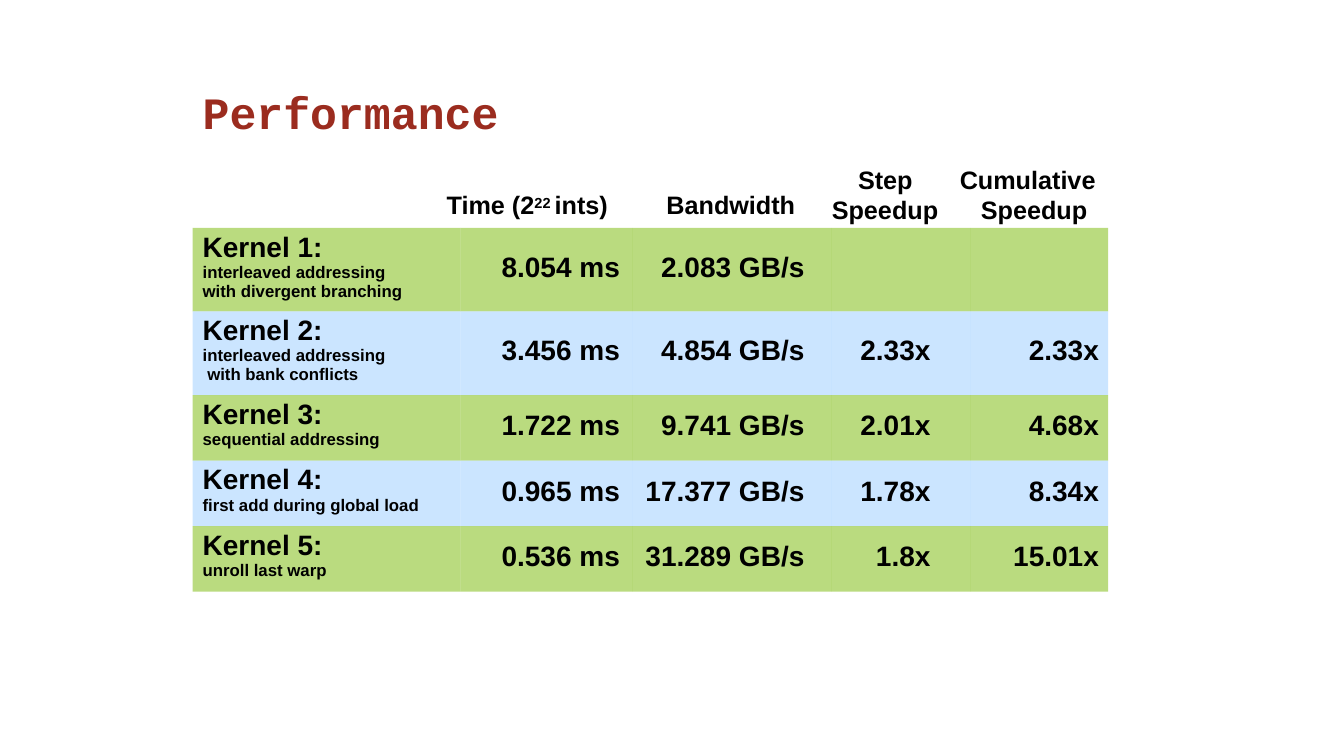
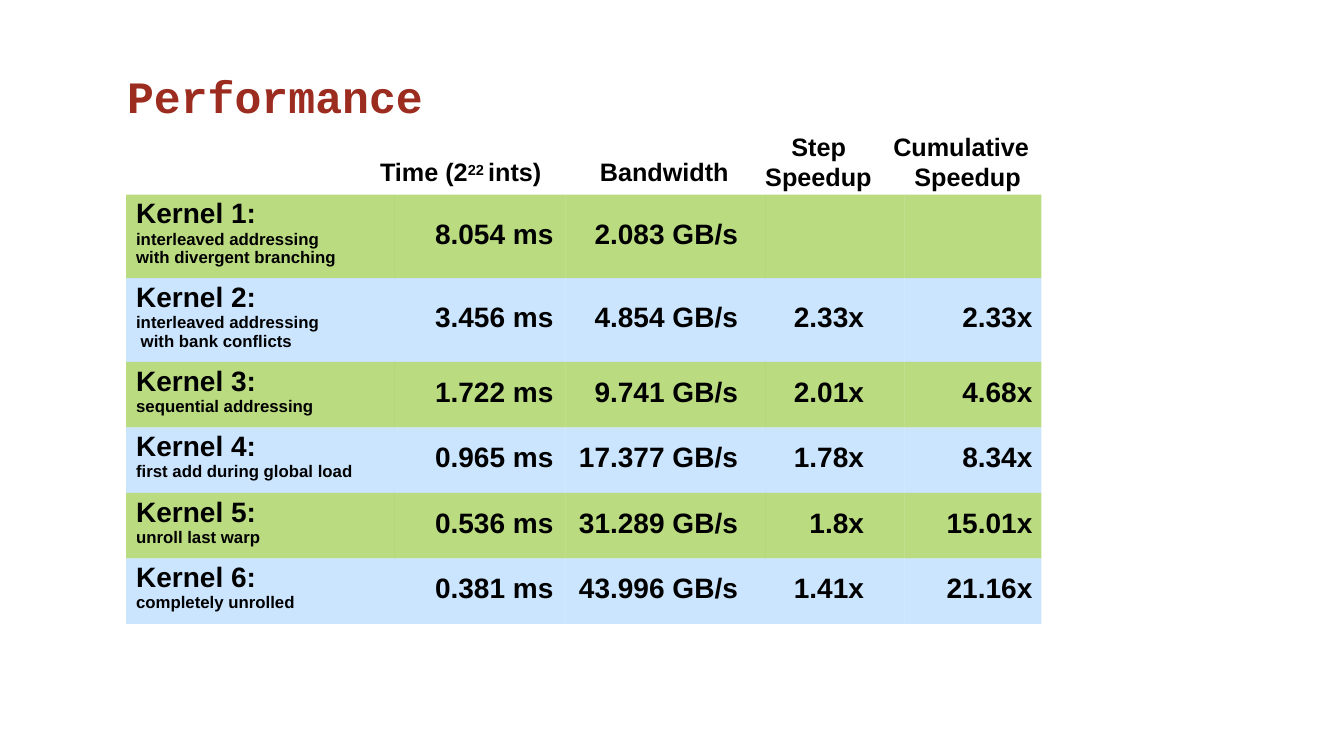
from pptx import Presentation
from pptx.dml.color import RGBColor
from pptx.enum import text
from pptx.oxml import xmlchemy
from pptx.util import Inches, Pt

COLORS = {"title": "9B2C1F", "ink": "000000", "odd": "76B800", "even": "99CCFF"}
PLAIN_TABLE = "{2D5ABB26-0587-4C30-8999-92F81FD0307C}"

COLUMN_WIDTHS = [2.66, 1.7, 1.98, 1.38, 1.36]
RIGHT_MARGINS = [0, 0.12, 0.27, 0.4, 0.09]
TALL_ROW, SHORT_ROW = 0.83, 0.65

KERNELS = [
    ("interleaved addressing\vwith divergent branching", "8.054 ms", "2.083 GB/s", "", ""),
    ("interleaved addressing\v with bank conflicts", "3.456 ms", "4.854 GB/s", "2.33x", "2.33x"),
    ("sequential addressing", "1.722 ms", "9.741 GB/s", "2.01x", "4.68x"),
    ("first add during global load", "0.965 ms", "17.377 GB/s", "1.78x", "8.34x"),
    ("unroll last warp", "0.536 ms", "31.289 GB/s", "1.8x", "15.01x"),
    ("completely unrolled", "0.381 ms", "43.996 GB/s", "1.41x", "21.16x"),
]

# Offset from the table's top left corner, width, height, first-line and left indent, text parts
HEADINGS = [
    (6.33, -0.64, 1.08, 0.63, 0.26, 0.01, ["Step\vSpeedup"]),
    (4.69, -0.39, 1.31, 0.33, 0, 0.01, ["Bandwidth"]),
    (2.51, -0.39, 1.66, 0.33, 0, 0.01, ["Time (2", "22 ", "ints)"]),
    (7.59, -0.64, 1.37, 0.63, -0.14, 0.16, ["Cumulative\v Speedup"]),
]


class Deck:
    def __init__(self):
        self.prs = Presentation()
        self.prs.slide_width, self.prs.slide_height = Inches(13.33), Inches(7.5)
        self.slide = None

    def add_slide(self):
        self.slide = self.prs.slides.add_slide(self.prs.slide_layouts[6])

    def style(self, paragraph, size, color="ink", font="Arial"):
        paragraph.font.name, paragraph.font.size = font, Pt(size)
        paragraph.font.bold = True
        paragraph.font.color.rgb = RGBColor.from_string(COLORS[color])

    def indent(self, paragraph, left, first=0):
        properties = paragraph._p.get_or_add_pPr()
        properties.set("marL", str(Inches(left)))
        properties.set("indent", str(Inches(first)))

    def label(self, left, top, width, height):
        """Add an empty text box without side margins and return its paragraph."""
        box = self.slide.shapes.add_textbox(*map(Inches, (left, top, width, height)))
        frame = box.text_frame
        frame.word_wrap = True
        frame.margin_left = frame.margin_right = frame.margin_bottom = 0
        frame.margin_top = Inches(0.01)
        return frame.paragraphs[0]

    def title(self, words, left, top, width):
        paragraph = self.label(left, top, width, 0.56)
        paragraph.text = words
        paragraph.space_before = Pt(1.1)
        self.indent(paragraph, 0.01)
        self.style(paragraph, 32, "title", "Courier New")

    def heading(self, left, top, width, height, first, indent, parts):
        """Write one column heading; every second part is a superscript."""
        paragraph = self.label(left, top, width, height)
        paragraph.space_before = Pt(1)
        self.indent(paragraph, indent, first)
        self.style(paragraph, 18)
        if len(parts) == 1:
            paragraph.text = parts[0]
            return
        for number, part in enumerate(parts):
            run = paragraph.add_run()
            run.text = part
            if number % 2:
                run._r.get_or_add_rPr().set("baseline", "25000")

    def shade(self, cell, color):
        """Fill a cell with a half transparent colour."""
        cell.fill.solid()
        cell.fill.fore_color.rgb = RGBColor.from_string(COLORS[color])
        rgb = cell._tc.tcPr.find(".//" + xmlchemy.qn("a:srgbClr"))
        rgb.append(xmlchemy.OxmlElement("a:alpha"))
        rgb[0].set("val", "50000")

    def name_cell(self, cell, name, method):
        cell.margin_top = Inches(0.04)
        cell.text = f"{name}\n"
        name_line, method_line = cell.text_frame.paragraphs
        method_line.text = method
        for paragraph, size in ((name_line, 20), (method_line, 12)):
            self.indent(paragraph, 0.1)
            self.style(paragraph, size)

    def value_cell(self, cell, value, margin_top, margin_right):
        cell.margin_top, cell.margin_right = Inches(margin_top), Inches(margin_right)
        paragraph = cell.text_frame.paragraphs[0]
        paragraph.text = value
        paragraph.alignment = text.PP_ALIGN.RIGHT
        self.style(paragraph, 20)

    def kernel_table(self, left, top, kernels):
        heights = [TALL_ROW if "\v" in kernel[0] else SHORT_ROW for kernel in kernels]
        frame = self.slide.shapes.add_table(
            len(kernels), len(COLUMN_WIDTHS), Inches(left), Inches(top),
            Inches(sum(COLUMN_WIDTHS)), Inches(sum(heights)))
        table = frame.table
        table.first_row = table.horz_banding = False
        table._tbl.tblPr.find(xmlchemy.qn("a:tableStyleId")).text = PLAIN_TABLE
        for column, width in zip(table.columns, COLUMN_WIDTHS):
            column.width = Inches(width)
        for number, (row, height, kernel) in enumerate(zip(table.rows, heights, kernels), 1):
            row.height = Inches(height)
            margin_top = 0.24 if height == TALL_ROW else 0.15
            for cell, entry, margin_right in zip(row.cells, kernel, RIGHT_MARGINS):
                self.shade(cell, "odd" if number % 2 else "even")
                cell.margin_left = cell.margin_right = cell.margin_bottom = 0
                if entry == kernel[0]:
                    self.name_cell(cell, f"Kernel {number}:", entry)
                elif entry:
                    self.value_cell(cell, entry, margin_top, margin_right)

    def performance(self, title_place, table_left, table_top, kernels):
        self.add_slide()
        self.title("Performance", *title_place)
        self.kernel_table(table_left, table_top, kernels)
        for across, down, *rest in HEADINGS:
            self.heading(table_left + across, table_top + down, *rest)


def main():
    deck = Deck()
    deck.performance((2, 0.83, 8.15), 1.91, 2.26, KERNELS[:5])
    deck.performance((1.25, 0.67, 3.58), 1.25, 1.93, KERNELS)
    deck.prs.save("out.pptx")


if __name__ == "__main__":
    main()
